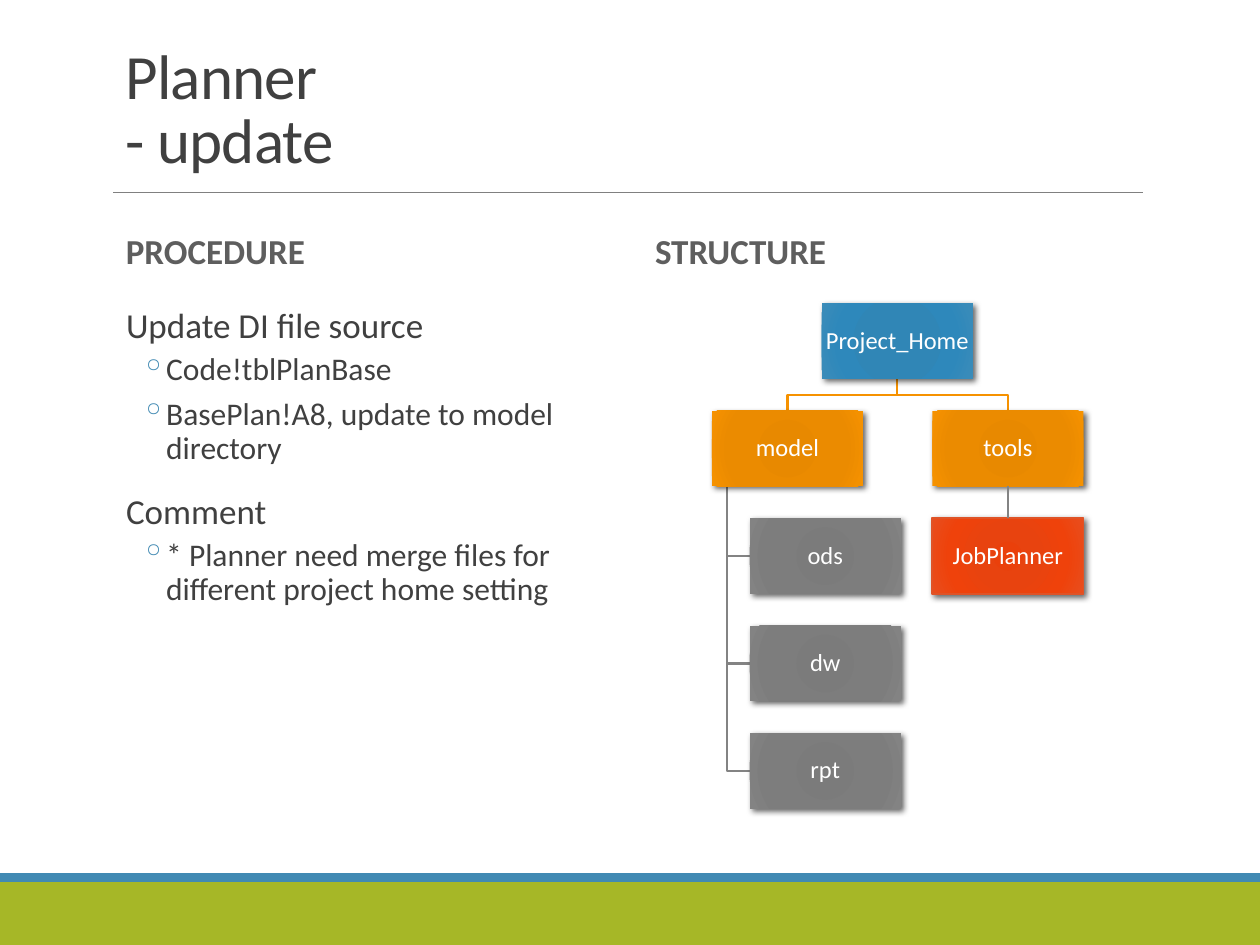
from pptx import Presentation
from pptx import util as u
from pptx.dml import color
from pptx.enum import shapes, text
from pptx.oxml import parse_xml
from pptx.oxml.ns import nsdecls

Pt = u.Pt


def hue(code):
    return color.RGBColor.from_string(code)


def write(frame, words, size=14, ink="404040", bold=False, lead=0.9, above=0, below=0,
          left=0, bullet=None, align=text.PP_ALIGN.LEFT, track=0):
    para = frame.paragraphs[0] if not frame.text else frame.add_paragraph()
    para.text = words
    para.alignment = align
    para.line_spacing = lead
    para.space_before, para.space_after = Pt(above), Pt(below)
    props = para._p.get_or_add_pPr()
    props.set("marL", str(Pt(left)))
    if bullet:
        props.set("indent", str(Pt(-14.4)))
        props.append(parse_xml(f'<a:buClr {nsdecls("a")}><a:srgbClr val="418AB3"/></a:buClr>'))
        props.append(parse_xml(f'<a:buChar {nsdecls("a")} char="{bullet}"/>'))
    for run in para.runs:
        font = run.font
        font.name, font.size, font.bold = "Calibri", Pt(size), bold
        font.color.rgb = hue(ink)
        if track:
            run._r.get_or_add_rPr().set("spc", str(track))


deck = Presentation()
deck.slide_width, deck.slide_height = Pt(720), Pt(540)
slide = deck.slides.add_slide(deck.slide_layouts[6])
items = slide.shapes

for top, high, fill in [(504, 36, "A6B727"), (499, 5, "418AB3")]:
    band = items.add_shape(shapes.MSO_SHAPE.RECTANGLE, 0, Pt(top), Pt(720), Pt(high))
    band.shadow.inherit = False
    band.fill.solid()
    band.fill.fore_color.rgb = hue(fill)
    band.line.fill.background()

rule = items.add_connector(shapes.MSO_CONNECTOR.STRAIGHT, Pt(64.8), Pt(110), Pt(653), Pt(110))
rule.line.color.rgb = hue("808080")
rule.line.width = Pt(0.5)
rule._element.spPr.append(parse_xml(f'<a:effectLst {nsdecls("a")}/>'))

head = dict(size=20, ink="5E5E5E", bold=True, above=12, below=2)
main = dict(size=20, above=12, below=2, left=7.2)
sub = dict(size=18, above=2, below=4, left=30.2, bullet="◦")
mid, low, high = text.MSO_ANCHOR.MIDDLE, text.MSO_ANCHOR.BOTTOM, text.MSO_ANCHOR.TOP
panes = [
    (64.8, 22.3, 594, 82, low, 7.2,
     [("Planner\v- update", dict(size=36, lead=0.85, track=-50))]),
    (64.8, 115.2, 291.6, 58.3, mid, 7.2, [("PROCEDURE", head)]),
    (367.2, 115.2, 291.6, 58.3, mid, 7.2, [("STRUCTURE", head)]),
    (64.8, 172.8, 291.6, 288.7, high, 0, [
        ("Update DI file source", main),
        ("Code!tblPlanBase", sub),
        ("BasePlan!A8, update to model directory", sub),
        ("Comment", main),
        ("* Planner need merge files for different project home setting", sub)]),
]
for x, y, w, h, anchor, inset, lines in panes:
    frame = items.add_textbox(Pt(x), Pt(y), Pt(w), Pt(h)).text_frame
    frame.word_wrap = True
    frame.vertical_anchor = anchor
    frame.margin_left = frame.margin_right = Pt(inset)
    for words, style in lines:
        write(frame, words, **style)

wide, tall, step, start = 86.4, 43.2, 61.4, 173.4
rows = [start + step * n for n in range(5)]
root, model, tools, leaf = 469.6, 406.8, 532.8, 428.4
stem, hub = model + 8.6, root + wide / 2
fork = (rows[0] + tall + rows[1]) / 2
paths = []
for x in (tools, model):
    end = x + wide / 2
    paths.append(("F69200", [(hub, rows[0] + tall), (hub, fork), (end, fork), (end, rows[1])]))
for y in rows[2:]:
    side = y + tall / 2
    paths.append(("838383", [(stem, rows[1] + tall), (stem, side), (leaf, side)]))
for ink, spots in paths:
    spots = [(Pt(x), Pt(y)) for x, y in spots]
    pen = items.build_freeform(*spots[0], scale=1.0)
    pen.add_line_segments(spots[1:], close=False)
    link = pen.convert_to_shape()
    link.shadow.inherit = False
    link.fill.background()
    link.line.color.rgb = hue(ink)
    link.line.width = Pt(1.25)

blue = ["2D85B7", "3086B6", "2E88BB", "3B8CB9"]
gold = ["E58800", "E88900", "EB8B00", "F69200"]
gray = ["7A7A7A", "7B7B7B", "7D7D7D", "838383"]
red = ["EA400B", "E8430F", "EF420B", "E84E1E"]
nodes = [("Project_Home", root, 0, blue), ("model", model, 1, gold), ("ods", leaf, 2, gray),
         ("dw", leaf, 3, gray), ("rpt", leaf, 4, gray), ("tools", tools, 1, gold),
         ("JobPlanner", tools, 2, red)]
made = {}
for name, x, row, tones in nodes:
    box = items.add_shape(shapes.MSO_SHAPE.RECTANGLE, Pt(x), Pt(rows[row]), Pt(wide), Pt(tall))
    made[name] = box
    if tones is red:
        box.line.color.rgb = hue("DF5327")
        box.line.width = Pt(1)
    else:
        box.line.fill.background()
    stops = "".join(f'<a:gs pos="{at * 1000}"><a:srgbClr val="{tone}"/></a:gs>'
                    for at, tone in zip((0, 34, 70, 100), tones))
    box._element.spPr.insert(2, parse_xml(
        f'<a:gradFill {nsdecls("a")} rotWithShape="1"><a:gsLst>{stops}</a:gsLst><a:path path="circle">'
        '<a:fillToRect l="100000" t="100000" r="100000" b="100000"/></a:path></a:gradFill>'))
    box.shadow.inherit = False
    box._element.spPr.effectLst.append(parse_xml(
        f'<a:outerShdw {nsdecls("a")} blurRad="{Pt(3.5)}" dist="{Pt(2)}" dir="2700000" rotWithShape="0">'
        '<a:srgbClr val="000000"><a:alpha val="60000"/></a:srgbClr></a:outerShdw>'))
    frame = box.text_frame
    frame.word_wrap = True
    frame.vertical_anchor = mid
    frame.margin_left = frame.margin_right = frame.margin_top = frame.margin_bottom = Pt(0.72)
    write(frame, name, ink="FFFFFF", align=text.PP_ALIGN.CENTER)

drop = items.add_connector(shapes.MSO_CONNECTOR.STRAIGHT, 0, 0, 0, 0)
drop.begin_connect(made["tools"], 2)
drop.end_connect(made["JobPlanner"], 0)
drop.line.color.rgb = hue("838383")
drop.line.width = Pt(1.25)
drop._element.spPr.append(parse_xml(f'<a:effectLst {nsdecls("a")}/>'))

deck.save("out.pptx")
